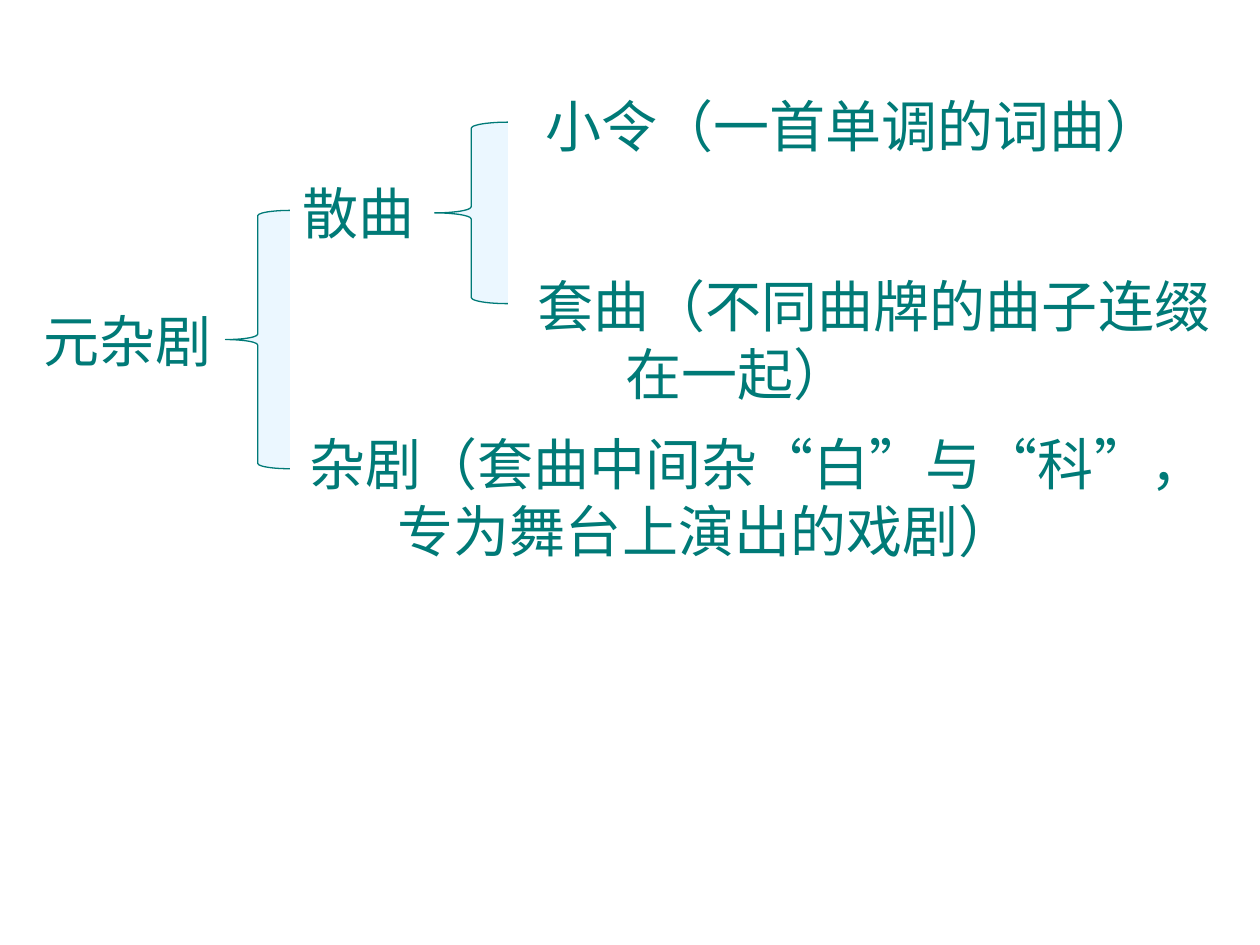
from lxml import etree
from pptx import Presentation
from pptx.dml.color import RGBColor
from pptx.enum import shapes, text
from pptx.oxml.ns import qn
from pptx.util import Inches, Pt

COLOURS = {"teal": "007A77", "pale": "EBF7FF"}
FONT = "Noto Sans CJK SC"
BLANK_LAYOUT = 6

LABELS = [
    (0.25, 2.38, 1.53, 0.64, ["元杂剧"]),
    (2.3, 1.37, 1.57, 0.64, ["散曲"]),
    (2.36, 3.36, 7.32, 1.17,
     ["杂剧（套曲中间杂“白”与“科”，", "专为舞台上演出的戏剧）"]),
    (4.23, 0.68, 5.09, 0.64, ["小令（一首单调的词曲）"]),
    (4.17, 2.11, 5.54, 1.17, ["套曲（不同曲牌的曲子连缀", "在一起）"]),
]
BRACES = [(1.79, 1.67, 0.51, 2.05), (3.45, 0.97, 0.58, 1.44)]


def colour(name):
    return RGBColor.from_string(COLOURS[name])


def add_label(page, left, top, width, height, lines, size=32, ink="teal", indent=0.7):
    """Add a text box whose lines after the first are indented."""
    box = page.shapes.add_textbox(*map(Inches, (left, top, width, height)))
    frame = box.text_frame
    frame.word_wrap = False
    frame.auto_size = text.MSO_AUTO_SIZE.NONE
    for number, line in enumerate(lines):
        para = frame.add_paragraph() if number else frame.paragraphs[0]
        para.alignment = text.PP_ALIGN.LEFT
        if number:
            para._p.get_or_add_pPr().set("marL", str(Inches(indent)))
        span = para.add_run()
        span.text = line
        span.font.size = Pt(size)
        span.font.name = FONT
        span.font.color.rgb = colour(ink)
        east_asian = etree.SubElement(span._r.get_or_add_rPr(), qn("a:ea"))
        east_asian.set("typeface", FONT)


def add_brace(page, left, top, width, height):
    brace = page.shapes.add_shape(
        shapes.MSO_SHAPE.LEFT_BRACE, *map(Inches, (left, top, width, height)))
    brace.shadow.inherit = False
    brace.fill.solid()
    brace.fill.fore_color.rgb = colour("pale")
    brace.line.color.rgb = colour("teal")
    brace.line.width = Pt(0.75)


def main():
    deck = Presentation()
    deck.slide_width, deck.slide_height = Inches(10), Inches(7.5)
    page = deck.slides.add_slide(deck.slide_layouts[BLANK_LAYOUT])
    for label in LABELS:
        add_label(page, *label)
    for brace in BRACES:
        add_brace(page, *brace)
    deck.save("out.pptx")


if __name__ == "__main__":
    main()
